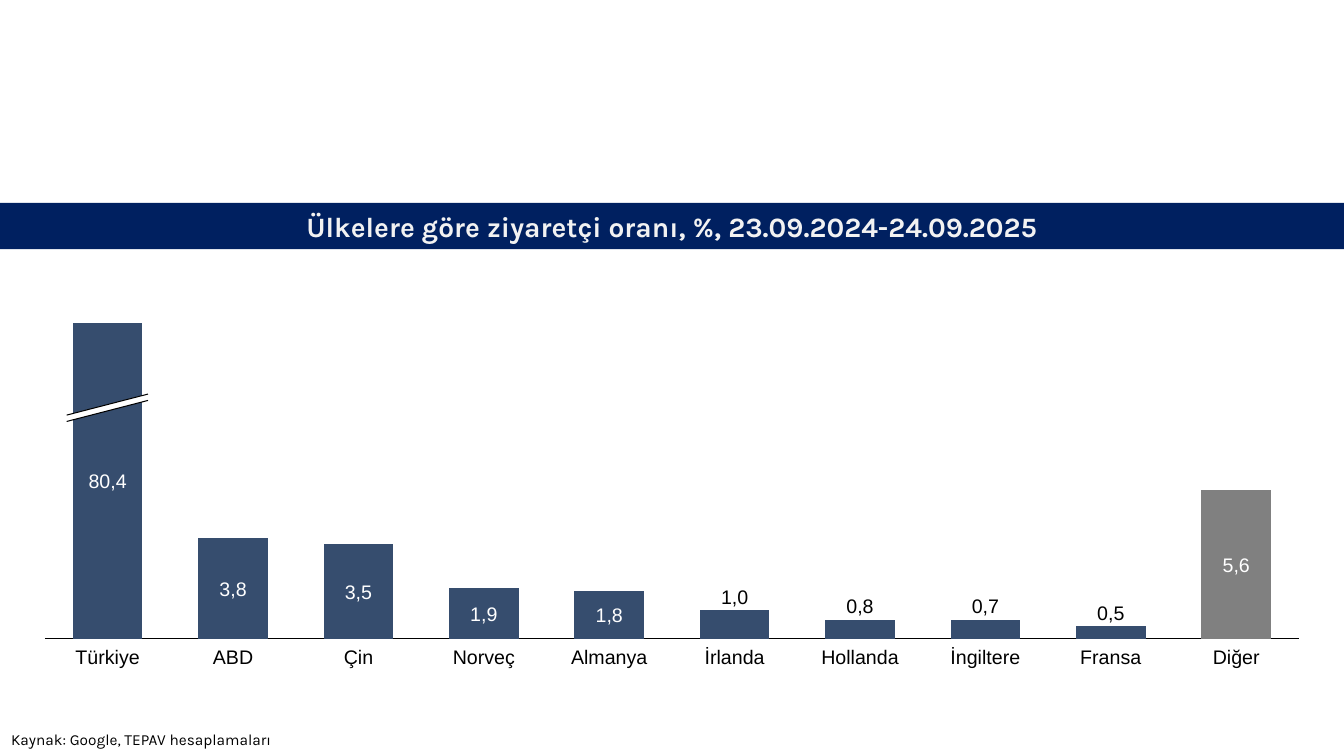
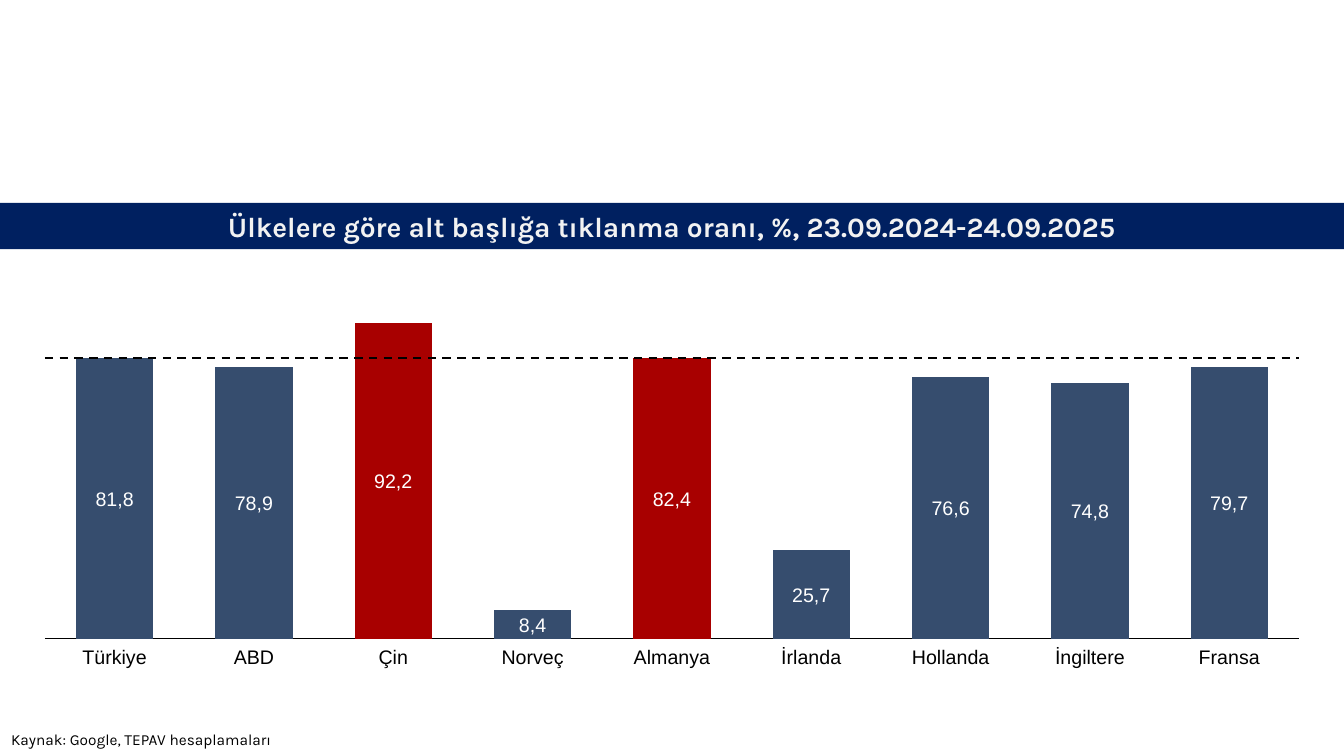
"""Build two slides on visitor shares and click rates by country."""
import lxml.etree
import pptx
import pptx.chart.data
import pptx.dml.color
import pptx.enum.chart
import pptx.enum.dml
import pptx.enum.shapes
import pptx.enum.text
import pptx.oxml.ns
import pptx.util

Cm = pptx.util.Cm
Pt = pptx.util.Pt
ALIGN = pptx.enum.text.PP_ALIGN
ANCHOR = pptx.enum.text.MSO_ANCHOR

COLOURS = {
    "band": "002060",
    "heading": "F2F2F2",
    "bar": "364D6E",
    "other": "808080",
    "highlight": "A80000",
    "ink": "000000",
    "paper": "FFFFFF",
}
PAGE_WIDTH, PAGE_HEIGHT = 33.87, 19.05
CHART = {"left": 0.91, "top": 7.92, "width": 32.05, "height": 8.41}
PLOT = {"x": 0.007, "y": 0.027, "w": 0.986, "h": 0.945}
AXIS_LEFT = CHART["left"] + PLOT["x"] * CHART["width"]
AXIS_WIDTH = PLOT["w"] * CHART["width"]
PLOT_HEIGHT = PLOT["h"] * CHART["height"]
BASELINE = CHART["top"] + PLOT["y"] * CHART["height"] + PLOT_HEIGHT
LABEL_HEIGHT = 0.58
CATEGORY_TOP = 16.26
SOURCE = "Kaynak: Google, TEPAV hesaplamaları"

VISITORS = [
    ("Türkiye", "80,4", 100),
    ("ABD", "3,8", 32),
    ("Çin", "3,5", 30),
    ("Norveç", "1,9", 16),
    ("Almanya", "1,8", 15),
    ("İrlanda", "1,0", 9),
    ("Hollanda", "0,8", 6),
    ("İngiltere", "0,7", 6),
    ("Fransa", "0,5", 4),
    ("Diğer", "5,6", 47),
]
CLICKS = [
    ("Türkiye", "81,8", 89),
    ("ABD", "78,9", 86),
    ("Çin", "92,2", 100),
    ("Norveç", "8,4", 9),
    ("Almanya", "82,4", 89),
    ("İrlanda", "25,7", 28),
    ("Hollanda", "76,6", 83),
    ("İngiltere", "74,8", 81),
    ("Fransa", "79,7", 86),
]
REFERENCE_LEVEL = 89


def colour(name):
    """Return the named colour."""
    return pptx.dml.color.RGBColor.from_string(COLOURS[name])


def set_all(target, values):
    """Set each named attribute of the target."""
    for name, value in values.items():
        setattr(target, name, value)


def paint(fill, name):
    """Make a fill solid in the named colour."""
    fill.solid()
    fill.fore_color.rgb = colour(name)


def bar_top(height):
    """Return the vertical place of a bar height on the page."""
    return BASELINE - PLOT_HEIGHT * height / 100


def write(frame, text, ink, font, align=ALIGN.CENTER):
    """Put one formatted paragraph into a text frame."""
    para = frame.paragraphs[0]
    para.alignment = align
    span = para.add_run()
    span.text = text
    set_all(span.font, font)
    span.font.color.rgb = colour(ink)


def add_heading(page, text):
    """Turn the title placeholder into the full-width band."""
    title = page.shapes.title
    set_all(title, {"left": 0, "top": Cm(5.11),
                    "width": Cm(PAGE_WIDTH), "height": Cm(1.17)})
    paint(title.fill, "band")
    set_all(title.text_frame, {
        "auto_size": pptx.enum.text.MSO_AUTO_SIZE.NONE,
        "vertical_anchor": ANCHOR.MIDDLE,
        "word_wrap": True,
    })
    write(title.text_frame, text, "heading",
          {"name": "Karla", "size": Pt(20), "bold": True})


def add_source(page):
    """Add the source line at the foot of the page."""
    box = page.shapes.add_textbox(Cm(0.03), Cm(18.27), Cm(33.8), Cm(0.74))
    box.text_frame.word_wrap = True
    write(box.text_frame, SOURCE, "ink",
          {"name": "Karla", "size": Pt(11)}, ALIGN.LEFT)


def add_label(page, text, centre, top, ink="ink", anchor=ANCHOR.TOP):
    """Add a chart label centred on a column."""
    width = 0.65 + 0.2 * len(text)
    box = page.shapes.add_textbox(Cm(centre - width / 2), Cm(top),
                                  Cm(width), Cm(LABEL_HEIGHT))
    set_all(box.text_frame, {
        "margin_left": 0, "margin_right": 0,
        "margin_top": 0, "margin_bottom": 0,
        "word_wrap": False, "vertical_anchor": anchor,
    })
    write(box.text_frame, text, ink, {"name": "Arial", "size": Pt(14)})


def add_line(page, start, end, width, dash=None):
    """Add a black straight line between two points."""
    line = page.shapes.add_connector(
        pptx.enum.shapes.MSO_CONNECTOR.STRAIGHT,
        *(Cm(length) for length in start + end))
    line.line.color.rgb = colour("ink")
    set_all(line.line, {"width": Pt(width), "dash_style": dash})
    lxml.etree.SubElement(line._element.spPr,
                          pptx.oxml.ns.qn("a:effectLst"))


def place_plot(chart):
    """Fix the inner plot area within the chart frame."""
    qn = pptx.oxml.ns.qn
    area = chart._chartSpace.chart.plotArea
    for layout in area.findall(qn("c:layout")):
        area.remove(layout)
    layout = lxml.etree.Element(qn("c:layout"))
    area.insert(0, layout)
    manual = lxml.etree.SubElement(layout, qn("c:manualLayout"))
    settings = {"layoutTarget": "inner", "xMode": "edge", "yMode": "edge"}
    for name, value in {**settings, **PLOT}.items():
        lxml.etree.SubElement(manual, qn("c:" + name), val=str(value))


def add_columns(page, rows, accents):
    """Add the column chart, with accent colours by row number."""
    data = pptx.chart.data.CategoryChartData()
    data.categories = [name for name, _, _ in rows]
    data.add_series("Series 1", [height for _, _, height in rows])
    chart = page.shapes.add_chart(
        pptx.enum.chart.XL_CHART_TYPE.COLUMN_STACKED,
        *(Cm(length) for length in CHART.values()), data).chart
    set_all(chart, {"has_legend": False, "has_title": False})
    set_all(chart.font, {"name": "Karla", "size": Pt(10)})
    chart.font.color.rgb = colour("ink")
    tick_none = pptx.enum.chart.XL_TICK_MARK.NONE
    set_all(chart.category_axis, {
        "tick_label_position": pptx.enum.chart.XL_TICK_LABEL_POSITION.NONE,
        "major_tick_mark": tick_none,
        "minor_tick_mark": tick_none,
        "has_major_gridlines": False,
    })
    axis_line = chart.category_axis.format.line
    axis_line.color.rgb = colour("ink")
    axis_line.width = Pt(0.75)
    set_all(chart.value_axis, {
        "visible": False, "has_major_gridlines": False,
        "minimum_scale": 0, "maximum_scale": 100,
    })
    plot = chart.plots[0]
    set_all(plot, {"gap_width": 80, "overlap": 100,
                   "vary_by_categories": False})
    series = plot.series[0]
    series.invert_if_negative = False
    paint(series.format.fill, "bar")
    for number, accent in accents.items():
        paint(series.points[number].format.fill, accent)
    place_plot(chart)


def add_labels(page, rows, lowest_inside):
    """Name each column and show its value inside or above it."""
    step = AXIS_WIDTH / len(rows)
    for number, (name, value, height) in enumerate(rows):
        centre = AXIS_LEFT + (number + 0.5) * step
        add_label(page, name, centre, CATEGORY_TOP)
        top = bar_top(height)
        if height >= lowest_inside:
            middle = (top + BASELINE - LABEL_HEIGHT) / 2
            add_label(page, value, centre, middle, "paper", ANCHOR.MIDDLE)
        else:
            add_label(page, value, centre, top - LABEL_HEIGHT - 0.05,
                      "ink", ANCHOR.BOTTOM)


def add_break(page):
    """Cut the first column with a slanted break mark."""
    left, right, low, high, gap = 1.68, 3.73, 10.46, 9.93, 0.16
    corners = [(left, low), (right, high),
               (right, high + gap), (left, low + gap)]
    points = [(Cm(across), Cm(down)) for across, down in corners]
    builder = page.shapes.build_freeform(*points[0], scale=1.0)
    builder.add_line_segments(points[1:], close=True)
    cut = builder.convert_to_shape()
    cut.shadow.inherit = False
    paint(cut.fill, "paper")
    cut.line.fill.background()
    for shift in (0, gap):
        add_line(page, (left, low + shift), (right, high + shift), 0.75)


def add_reference(page):
    """Draw the dashed reference level across the chart."""
    level = bar_top(REFERENCE_LEVEL)
    add_line(page, (AXIS_LEFT, level), (AXIS_LEFT + AXIS_WIDTH, level), 1.5,
             pptx.enum.dml.MSO_LINE.DASH)


def add_page(deck, heading, rows, accents, add_mark, lowest_inside):
    """Add one chart page with its heading, mark, labels and source."""
    page = deck.slides.add_slide(deck.slide_layouts[5])
    add_heading(page, heading)
    add_columns(page, rows, accents)
    add_mark(page)
    add_labels(page, rows, lowest_inside)
    add_source(page)


def main():
    """Build and save the deck."""
    deck = pptx.Presentation()
    set_all(deck, {"slide_width": Cm(PAGE_WIDTH),
                   "slide_height": Cm(PAGE_HEIGHT)})
    add_page(deck, "Ülkelere göre ziyaretçi oranı, %, 23.09.2024-24.09.2025",
             VISITORS, {9: "other"}, add_break, 10)
    add_page(deck,
             "Ülkelere göre alt başlığa tıklanma oranı, %, "
             "23.09.2024-24.09.2025",
             CLICKS, {2: "highlight", 4: "highlight"}, add_reference, 0)
    deck.save("out.pptx")


if __name__ == "__main__":
    main()
